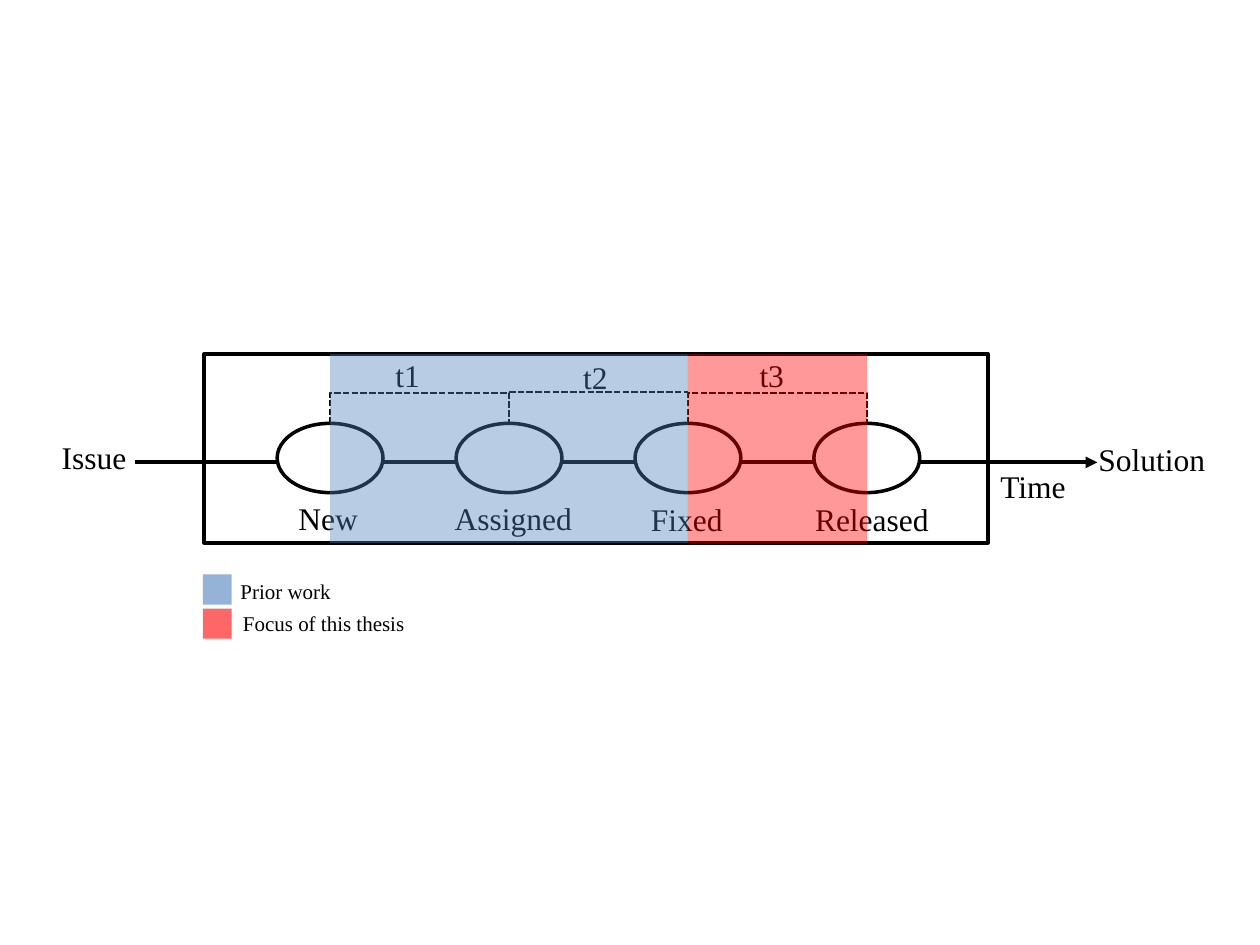
from pptx import Presentation
from pptx.dml.color import RGBColor
from pptx.enum.dml import MSO_LINE
from pptx.enum.shapes import MSO_CONNECTOR as LINK, MSO_SHAPE as SHAPE
from pptx.enum.text import MSO_AUTO_SIZE, PP_ALIGN
from pptx.oxml.ns import qn
from pptx.util import Inches, Pt
from lxml import etree

BLACK = RGBColor(0x00, 0x00, 0x00)
WHITE = RGBColor(0xFF, 0xFF, 0xFF)
BLUE = RGBColor(0x4F, 0x81, 0xBD)
RED = RGBColor(0xFF, 0x00, 0x00)

FIRST_CENTER, STEP = 2.62, 1.42
STATE_WIDTH, STATE_HEIGHT, STATE_TOP = 0.84, 0.55, 3.36
FRAME_TOP, FRAME_HEIGHT = 2.81, 1.5
BRACKET_TOP, BRACKET_RISE = 3.11, 0.25

deck = Presentation()
deck.slide_width, deck.slide_height = Inches(10), Inches(7.5)
page = deck.slides.add_slide(deck.slide_layouts[6])
centers = [FIRST_CENTER + STEP * index for index in range(4)]


def add_block(kind, left, top, width, height, color, opacity=None):
    """Outlined when opaque, borderless when an opacity in percent is given."""
    block = page.shapes.add_shape(
        kind, Inches(left), Inches(top), Inches(width), Inches(height))
    block.shadow.inherit = False
    block.fill.solid()
    block.fill.fore_color.rgb = color
    if opacity is None:
        block.line.color.rgb = BLACK
        block.line.width = Pt(2)
    else:
        block.line.fill.background()
        tint = block._element.spPr.find(qn("a:solidFill"))[0]
        etree.SubElement(tint, qn("a:alpha")).set("val", str(opacity * 1000))


def add_link(kind, start, end, width):
    link = page.shapes.add_connector(kind, *map(Inches, start + end))
    link.line.color.rgb = BLACK
    link.line.width = Pt(width)
    etree.SubElement(link._element.spPr, qn("a:effectLst"))
    return link


# Frame, time axis and states
add_block(SHAPE.RECTANGLE, 1.62, FRAME_TOP, 6.22, FRAME_HEIGHT, WHITE)
axis = add_link(LINK.STRAIGHT, (1.07, 3.67), (8.71, 3.67), 2.25)
etree.SubElement(axis.line._get_or_add_ln(), qn("a:tailEnd")).set("type", "triangle")
for center in centers:
    add_block(SHAPE.OVAL, center - STATE_WIDTH / 2, STATE_TOP,
              STATE_WIDTH, STATE_HEIGHT, WHITE)

# Labels: text, left, top, width, height, size, alignment
labels = [
    ("Time", 7.84, 3.66, 0.79, 0.4, 18, PP_ALIGN.LEFT),
    ("New", 2.27, 3.91, 0.79, 0.4, 18, PP_ALIGN.LEFT),
    ("Assigned", 3.51, 3.91, 1.18, 0.4, 18, PP_ALIGN.LEFT),
    ("Fixed", 4.86, 3.92, 1.18, 0.4, 18, PP_ALIGN.CENTER),
    ("Released", 6.37, 3.92, 1.18, 0.4, 18, PP_ALIGN.LEFT),
    ("t1", 2.96, 2.78, 0.55, 0.4, 18, PP_ALIGN.CENTER),
    ("t2", 4.45, 2.79, 0.55, 0.4, 18, PP_ALIGN.CENTER),
    ("t3", 5.85, 2.78, 0.55, 0.4, 18, PP_ALIGN.CENTER),
    ("Issue", 0.39, 3.43, 0.79, 0.4, 18, PP_ALIGN.LEFT),
    ("Solution", 8.62, 3.44, 1.26, 0.4, 18, PP_ALIGN.LEFT),
    ("Prior work", 1.81, 4.54, 2.05, 0.3, 12, PP_ALIGN.LEFT),
    ("Focus of this thesis", 1.83, 4.8, 2.05, 0.3, 12, PP_ALIGN.LEFT),
]
for text, left, top, width, height, size, alignment in labels:
    box = page.shapes.add_textbox(
        Inches(left), Inches(top), Inches(width), Inches(height))
    frame = box.text_frame
    frame.word_wrap = True
    frame.auto_size = MSO_AUTO_SIZE.SHAPE_TO_FIT_TEXT
    frame.text = text
    para = frame.paragraphs[0]
    para.alignment = alignment
    font = para.runs[0].font
    font.name, font.size, font.color.rgb = "Times New Roman", Pt(size), BLACK

# Dashed brackets for t1 and t3: elbows turned a quarter, rising above the states
DEPTH = 0.01
for left in (centers[0], centers[2]):
    middle = left + STEP / 2
    bracket = add_link(LINK.ELBOW, (middle + DEPTH / 2, STATE_TOP + STEP / 2),
                       (middle - DEPTH / 2, STATE_TOP - STEP / 2), 1.25)
    bracket.line.dash_style = MSO_LINE.SQUARE_DOT
    properties = bracket._element.spPr
    properties.find(qn("a:xfrm")).set("rot", "5400000")
    guides = properties.find(qn("a:prstGeom")).find(qn("a:avLst"))
    guide = etree.SubElement(guides, qn("a:gd"))
    guide.set("name", "adj1")
    guide.set("fmla", f"val {round(BRACKET_RISE / DEPTH * 100000)}")

# Dashed line for t2
span_line = add_link(LINK.STRAIGHT, (centers[1], BRACKET_TOP),
                     (centers[2], BRACKET_TOP), 1.25)
span_line.line.dash_style = MSO_LINE.SQUARE_DOT

# Highlighted phases and legend swatches
phases = [(BLUE, centers[0], centers[2], 4.56), (RED, centers[2], centers[3], 4.83)]
for color, start, end, swatch_top in phases:
    add_block(SHAPE.RECTANGLE, start, FRAME_TOP, end - start, FRAME_HEIGHT, color, 40)
    add_block(SHAPE.RECTANGLE, 1.61, swatch_top, 0.23, 0.24, color, 60)

deck.save("out.pptx")
